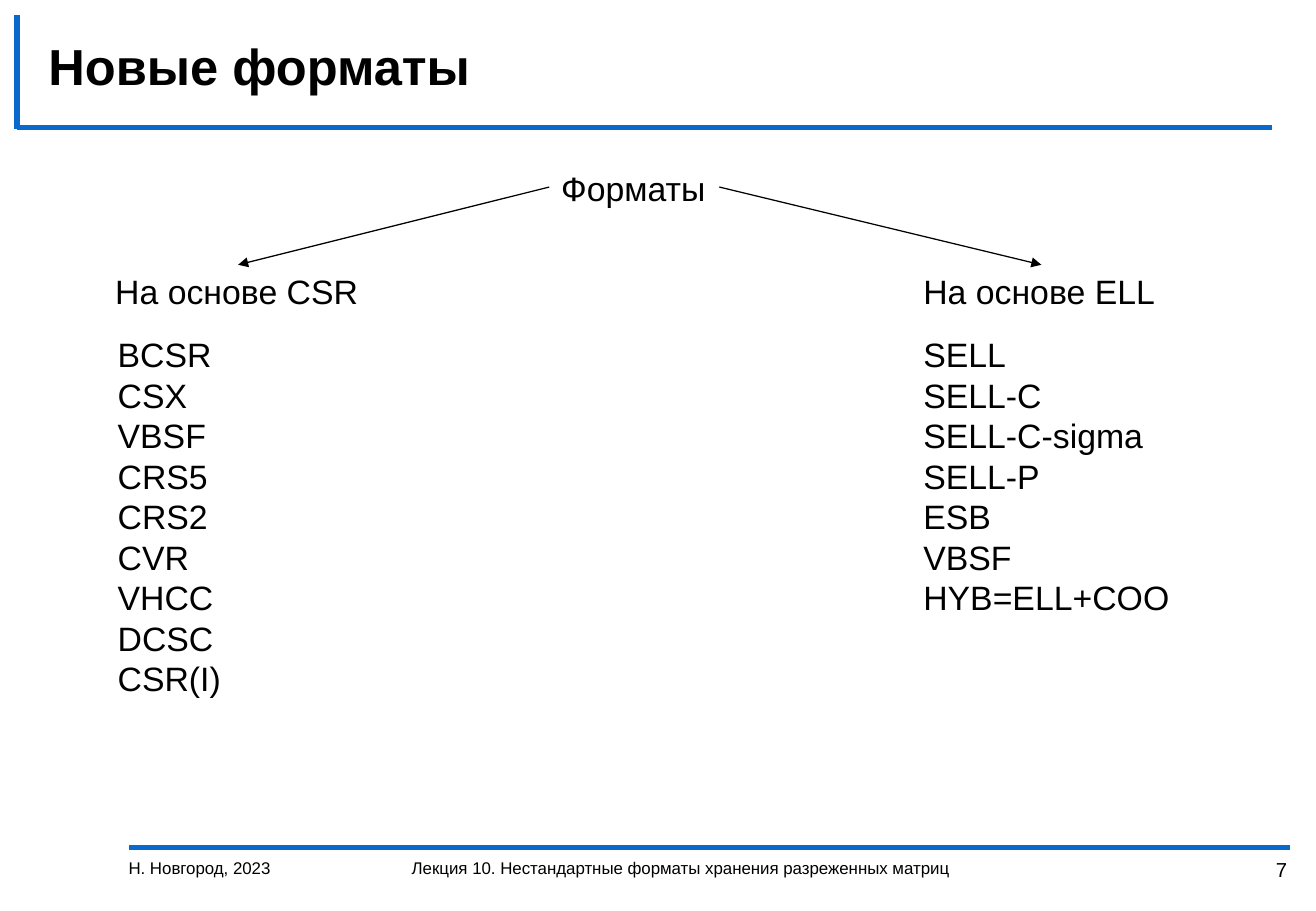
from lxml.etree import SubElement
from pptx import Presentation
from pptx.dml.color import RGBColor
from pptx.enum.shapes import MSO_CONNECTOR
from pptx.enum.text import MSO_ANCHOR, PP_ALIGN
from pptx.oxml.ns import qn
from pptx.util import Pt

PX = 9144
BLUE = RGBColor(0x09, 0x69, 0xCD)
BLACK = RGBColor(0, 0, 0)
WHITE = RGBColor(255, 255, 255)


class Deck:
    font = "Arial"

    def __init__(self, width, height):
        self.prs = Presentation()
        self.prs.slide_width = width * PX
        self.prs.slide_height = height * PX
        self.s = self.prs.slides.add_slide(self.prs.slide_layouts[6])
        fill = self.s.background.fill
        fill.solid()
        fill.fore_color.rgb = WHITE

    def text(self, box, lines, size=20, bold=False, wrap=False,
             align=PP_ALIGN.LEFT, anchor=MSO_ANCHOR.TOP):
        sp = self.s.shapes.add_textbox(*(v * PX for v in box))
        tf = sp.text_frame
        tf.word_wrap = wrap
        tf.vertical_anchor = anchor
        tf.text = "\n".join(lines)
        for p in tf.paragraphs:
            p.alignment = align
            p.font.name = self.font
            p.font.size = Pt(size)
            p.font.bold = bold
            p.font.color.rgb = BLACK

    def line(self, ends, color=BLUE, width=3, arrow=False):
        sp = self.s.shapes.add_connector(
            MSO_CONNECTOR.STRAIGHT, *(v * PX for v in ends))
        sp.line.color.rgb = color
        sp.line.width = Pt(width)
        if arrow:
            ln = sp.line._get_or_add_ln()
            SubElement(ln, qn("a:tailEnd"), type="triangle")
        SubElement(sp._element.spPr, qn("a:effectLst"))

    def save(self):
        self.prs.save("out.pptx")


def main():
    deck = Deck(1083, 750)
    for ends in ((106, 698, 1062, 698), (14, 105, 1047, 105), (14, 12, 14, 106)):
        deck.line(ends)

    deck.text((30, 23, 1035, 61), ["Новые форматы"], size=30, bold=True,
              wrap=True, anchor=MSO_ANCHOR.MIDDLE)
    deck.text((96, 701, 224, 49), ["Н. Новгород, 2023"], size=10, wrap=True)
    deck.text((329, 701, 630, 49),
              ["Лекция 10. Нестандартные форматы хранения разреженных матриц"],
              size=10, wrap=True)
    deck.text((967, 701, 102, 49), ["7"], size=12, wrap=True,
              align=PP_ALIGN.RIGHT)

    deck.text((452, 133, 140, 44), ["Форматы"])
    deck.text((85, 218, 222, 44), ["На основе CSR"])
    deck.text((87, 270, 106, 313),
              ["BCSR", "CSX", "VBSF", "CRS5", "CRS2", "CVR", "VHCC", "DCSC",
               "CSR(I)"])
    deck.text((750, 218, 212, 44), ["На основе ELL"])
    deck.text((750, 270, 224, 246),
              ["SELL", "SELL-C", "SELL-C-sigma", "SELL-P", "ESB", "VBSF",
               "HYB=ELL+COO"])

    for ends in ((452, 154, 196, 218), (592, 154, 857, 218)):
        deck.line(ends, BLACK, 0.75, arrow=True)
    deck.save()


if __name__ == "__main__":
    main()
